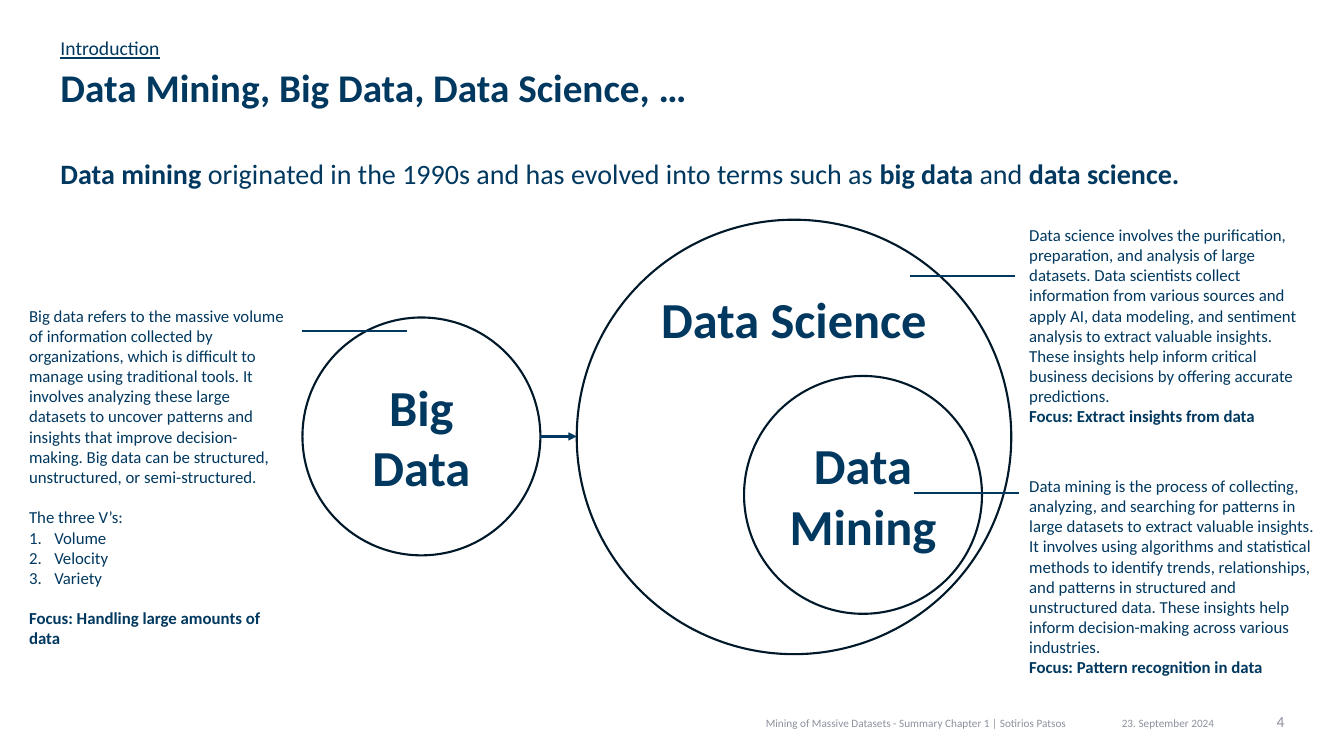
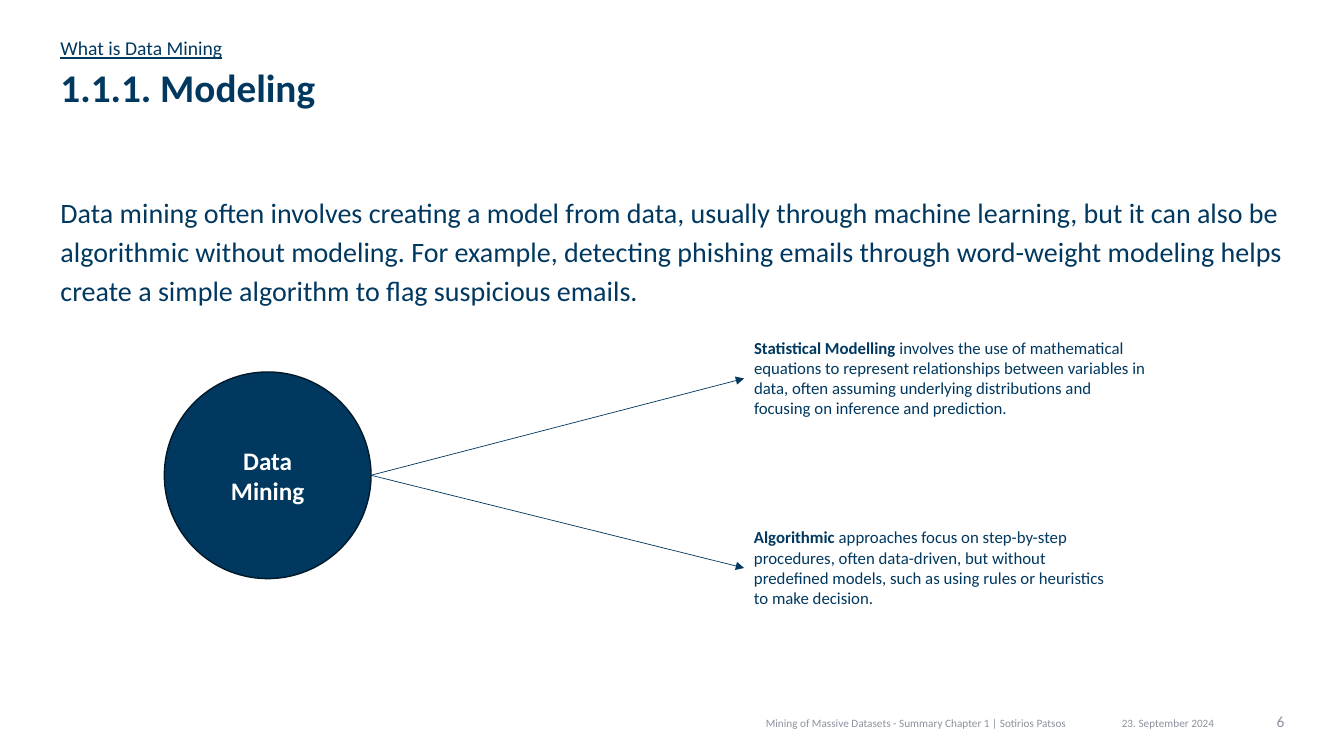
from dataclasses import dataclass

from pptx import Presentation
from pptx.dml.color import RGBColor
from pptx.enum.shapes import MSO_CONNECTOR as Link, MSO_SHAPE as Preset
from pptx.enum.text import MSO_ANCHOR as Anchor, MSO_AUTO_SIZE as AutoSize, PP_ALIGN as Align
from pptx.oxml.ns import qn
from pptx.util import Inches, Pt
from lxml.etree import SubElement


@dataclass(frozen=True)
class Theme:
    font: str = "Calibri"
    navy: RGBColor = RGBColor(0x00, 0x38, 0x5F)
    outline: RGBColor = RGBColor(0x00, 0x19, 0x2A)
    grey: RGBColor = RGBColor(0x8C, 0x91, 0x9D)
    white: RGBColor = RGBColor(0xFF, 0xFF, 0xFF)
    title: int = 28
    lead: int = 20
    section: int = 14
    note: int = 12
    page: int = 11
    footer: int = 8
    big_circle: int = 36
    small_circle: int = 18
    title_spacing: float = 0.9
    body_spacing: float = 1.17
    note_gap: float = 14.5


THEME = Theme()
MARGIN, CONTENT_WIDTH = 0.6, 12.13
NOTE_INSETS = (0.1, 0.05, 0.1, 0.05)
FOOTER_TOP, FOOTER_HEIGHT = 7.06, 0.16
CALLOUT_LENGTH = 1.04

FOOTER_TEXT = "Mining of Massive Datasets - Summary Chapter 1 | Sotirios Patsos"
FOOTER_DATE = "23. September 2024"

TERMS = {
    "section": "Introduction",
    "title": "Data Mining, Big Data, Data Science, …",
    "page": "4",
    "lead_area": (1.48, 1.16),
    "lead": [
        ("Data mining ", True),
        ("originated in the 1990s and has evolved into terms such as ", False),
        ("big data ", True),
        ("and ", False),
        ("data science.", True),
    ],
}
TERM_CIRCLES = [
    ("Data Mining", 7.38, 3.73, 2.36, Anchor.MIDDLE),
    ("Data Science", 5.72, 2.18, 4.31, Anchor.TOP),
    ("Big Data", 3, 3.15, 2.36, Anchor.MIDDLE),
]
TERM_NOTES = [
    ((0.19, 2.98, 2.76, 3.53), [
        ("Big data refers to the massive volume of information collected by organizations, "
         "which is difficult to manage using traditional tools. It involves analyzing these "
         "large datasets to uncover patterns and insights that improve decision-making. "
         "Big data can be structured, unstructured, or semi-structured.", "plain"),
        ("The three V’s:", "gap"),
        ("Volume", "number"),
        ("Velocity", "number"),
        ("Variety", "number"),
        ("Focus: Handling large amounts of data", "gap bold"),
    ]),
    ((10.11, 2.18, 3.04, 2.12), [
        ("Data science involves the purification, preparation, and analysis of large datasets. "
         "Data scientists collect information from various sources and apply AI, data modeling, "
         "and sentiment analysis to extract valuable insights. These insights help inform "
         "critical business decisions by offering accurate predictions.", "plain"),
        ("Focus: Extract insights from data", "bold"),
    ]),
    ((10.11, 4.67, 3.04, 2.12), [
        ("Data mining is the process of collecting, analyzing, and searching for patterns in "
         "large datasets to extract valuable insights. It involves using algorithms and "
         "statistical methods to identify trends, relationships, and patterns in structured and "
         "unstructured data. These insights help inform decision-making across various "
         "industries.", "plain"),
        ("Focus: Pattern recognition in data", "bold"),
    ]),
]
CALLOUT_STARTS = [(3, 3.28), (9.03, 2.74), (9.07, 4.89)]

MODELING = {
    "section": "What is Data Mining",
    "title": "1.1.1. Modeling",
    "page": "6",
    "lead_area": (1.86, 1.41),
    "lead": [
        ("Data mining often involves creating a model from data, usually through machine "
         "learning, but it can also be algorithmic without modeling. For example, detecting "
         "phishing emails through word-weight modeling helps create a simple algorithm to flag "
         "suspicious emails.", False),
    ],
}
MODELING_HUB = ("Data Mining", 1.63, 3.69, 2.05)
APPROACHES = [
    ((7.38, 3.3, 4.09, 0.91), "Statistical Modelling ",
     "involves the use of mathematical equations to represent relationships between variables "
     "in data, often assuming underlying distributions and focusing on inference and prediction."),
    ((7.38, 5.18, 3.7, 0.91), "Algorithmic ",
     "approaches focus on step-by-step procedures, often data-driven, but without predefined "
     "models, such as using rules or heuristics to make decision."),
]


def add_run(paragraph, text, size, color=THEME.navy, bold=False, underline=False):
    run = paragraph.add_run()
    run.text = text
    font = run.font
    font.name, font.size, font.bold = THEME.font, Pt(size), bold
    font.color.rgb = color
    if underline:
        font.underline = True


def prepare_frame(frame, insets, anchor=Anchor.TOP):
    frame.word_wrap = True
    frame.auto_size = AutoSize.NONE
    frame.vertical_anchor = anchor
    (frame.margin_left, frame.margin_top,
     frame.margin_right, frame.margin_bottom) = map(Inches, insets)


def add_text_area(slide, area, insets=NOTE_INSETS, anchor=Anchor.TOP):
    area_box = slide.shapes.add_textbox(*map(Inches, area))
    prepare_frame(area_box.text_frame, insets, anchor)
    return area_box


def add_line_of_text(slide, area, runs, insets, align=Align.LEFT, spacing=None,
                     anchor=Anchor.TOP, **style):
    paragraph = add_text_area(slide, area, insets, anchor).text_frame.paragraphs[0]
    paragraph.alignment = align
    if spacing:
        paragraph.line_spacing = spacing
    for text, bold in runs:
        add_run(paragraph, text, bold=bold, **style)


def add_footer(slide, page):
    parts = [
        (FOOTER_DATE, 10.76, 1.65, (0, 0.05, 0, 0), Align.CENTER, THEME.footer),
        (FOOTER_TEXT, 5.88, 4.72, (0, 0.05, 0.02, 0), Align.RIGHT, THEME.footer),
        (page, 12.42, 0.32, (0, 0.01, 0, 0), Align.RIGHT, THEME.page),
    ]
    for text, left, width, insets, align, size in parts:
        add_line_of_text(slide, (left, FOOTER_TOP, width, FOOTER_HEIGHT), [(text, False)],
                         insets, align, size=size, color=THEME.grey)


def start_slide(deck, content):
    slide = deck.slides.add_slide(deck.slide_layouts[5])
    title = slide.shapes.title
    title.left, title.top, title.width, title.height = map(
        Inches, (MARGIN, 0.68, CONTENT_WIDTH, 0.94))
    prepare_frame(title.text_frame, (0, 0, 0, 0))
    heading = title.text_frame.paragraphs[0]
    heading.alignment, heading.line_spacing = Align.LEFT, THEME.title_spacing
    add_run(heading, content["title"], THEME.title, bold=True)

    lead_top, lead_height = content["lead_area"]
    add_line_of_text(slide, (MARGIN, lead_top, CONTENT_WIDTH, lead_height), content["lead"],
                     (0, 0.02, 0, 0), spacing=THEME.body_spacing, size=THEME.lead)
    add_footer(slide, content["page"])
    add_line_of_text(slide, (MARGIN, 0.29, CONTENT_WIDTH, 0.31), [(content["section"], False)],
                     (0, 0, 0, 0.01), spacing=THEME.body_spacing, anchor=Anchor.BOTTOM,
                     size=THEME.section, underline=True)
    return slide


def add_circle(slide, label, left, top, diameter, size, weight,
               anchor=Anchor.MIDDLE, fill=None, color=THEME.navy):
    circle = slide.shapes.add_shape(
        Preset.OVAL, *map(Inches, (left, top, diameter, diameter)))
    circle.shadow.inherit = False
    if fill is None:
        circle.fill.background()
    else:
        circle.fill.solid()
        circle.fill.fore_color.rgb = fill
    circle.line.color.rgb = THEME.outline
    circle.line.width = Pt(weight)
    prepare_frame(circle.text_frame, NOTE_INSETS, anchor)
    paragraph = circle.text_frame.paragraphs[0]
    paragraph.alignment = Align.CENTER
    add_run(paragraph, label, size, color, bold=True)


def add_link(slide, start, end, weight, arrow=False):
    link = slide.shapes.add_connector(Link.STRAIGHT, *map(Inches, (*start, *end)))
    link.line.color.rgb = THEME.navy
    link.line.width = Pt(weight)
    properties = link._element.spPr
    if arrow:
        SubElement(properties.find(qn("a:ln")), qn("a:tailEnd"), type="triangle")
    SubElement(properties, qn("a:effectLst"))
    return link


def number_paragraph(paragraph):
    settings = paragraph._p.get_or_add_pPr()
    indent = Inches(0.25)
    settings.set("marL", str(indent))
    settings.set("indent", str(-indent))
    SubElement(settings, qn("a:buFont"), typeface="+mj-lt")
    SubElement(settings, qn("a:buAutoNum"), type="arabicPeriod")


def add_note(slide, area, paragraphs):
    frame = add_text_area(slide, area).text_frame
    for index, (text, style) in enumerate(paragraphs):
        paragraph = frame.add_paragraph() if index else frame.paragraphs[0]
        if "number" in style:
            number_paragraph(paragraph)
        if "gap" in style:
            paragraph.space_before = Pt(THEME.note_gap)
        add_run(paragraph, text, THEME.note, bold="bold" in style)


def build_terms(deck):
    slide = start_slide(deck, TERMS)
    for label, left, top, diameter, anchor in TERM_CIRCLES:
        add_circle(slide, label, left, top, diameter, THEME.big_circle, 1.5, anchor)
    for area, paragraphs in TERM_NOTES:
        add_note(slide, area, paragraphs)

    _, science, big_data = TERM_CIRCLES
    _, left, top, diameter, _ = big_data
    middle = top + diameter / 2
    add_link(slide, (left + diameter, middle), (science[1], middle), 1.5, arrow=True)
    for x, y in CALLOUT_STARTS:
        add_link(slide, (x, y), (x + CALLOUT_LENGTH, y), 1.5)


def build_modeling(deck):
    slide = start_slide(deck, MODELING)
    label, left, top, diameter = MODELING_HUB
    add_circle(slide, label, left, top, diameter, THEME.small_circle, 1,
               fill=THEME.navy, color=THEME.white)
    hub_side = (left + diameter, top + diameter / 2)
    for area, name, explanation in APPROACHES:
        approach = add_text_area(slide, area)
        paragraph = approach.text_frame.paragraphs[0]
        add_run(paragraph, name, THEME.note, bold=True)
        add_run(paragraph, explanation, THEME.note)
        link = add_link(slide, hub_side, area[:2], 0.5, arrow=True)
        link.end_connect(approach, 1)


def main():
    deck = Presentation()
    deck.slide_width, deck.slide_height = Inches(13.33), Inches(7.5)
    build_terms(deck)
    build_modeling(deck)
    deck.save("out.pptx")


if __name__ == "__main__":
    main()
